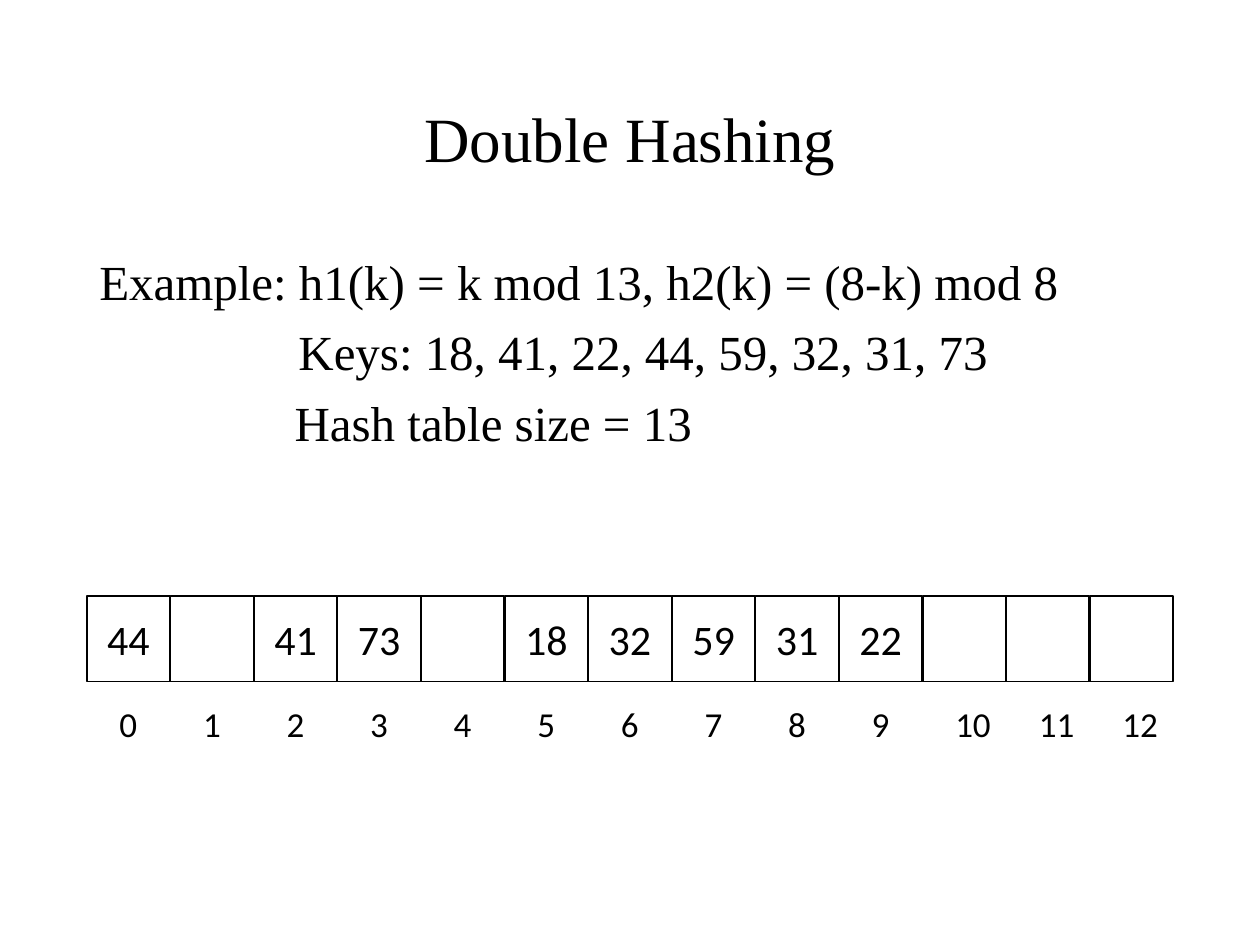
import dataclasses
import typing

import pptx
import pptx.dml.color
import pptx.enum.shapes
import pptx.enum.text
import pptx.util

Inches = pptx.util.Inches
Pt = pptx.util.Pt
Align = pptx.enum.text.PP_ALIGN
Anchor = pptx.enum.text.MSO_ANCHOR


@dataclasses.dataclass(frozen=True)
class Theme:
    ink: pptx.dml.color.RGBColor = pptx.dml.color.RGBColor(0, 0, 0)
    prose_font: str = "Times New Roman"
    table_font: str = "Calibri"
    title_size: int = 36
    body_size: int = 28
    key_size: int = 24
    index_size: int = 20
    outline: int = 1


@dataclasses.dataclass(frozen=True)
class Box:
    left: float
    top: float
    width: float
    height: float

    def lengths(self) -> tuple:
        return tuple(Inches(n) for n in dataclasses.astuple(self))


@dataclasses.dataclass(frozen=True)
class Line:
    text: str
    indent: float = 0


@dataclasses.dataclass(frozen=True)
class Slot:
    index: int
    key: str


THEME = Theme()
TITLE_BOX = Box(0.69, 0.4, 8.62, 1.45)
EXAMPLE_BOX = Box(0.69, 2, 8.62, 1.87)
EXAMPLE = [
    Line("Example: h1(k) = k mod 13, h2(k) = (8-k) mod 8"),
    Line("Keys: 18, 41, 22, 44, 59, 32, 31, 73", 1.58),
    Line("Hash table size = 13", 1.55),
]
KEYS = ["44", "", "41", "73", "", "18", "32", "59", "31", "22", "", "", ""]
FIRST_SLOT, LAST_SLOT = 0.69, 8.65
SLOT_PITCH = (LAST_SLOT - FIRST_SLOT) / (len(KEYS) - 1)


def add_words(paragraph: typing.Any, text: str, font: str, size: int) -> None:
    run = paragraph.add_run()
    run.text = text
    run.font.name = font
    run.font.size = Pt(size)
    run.font.color.rgb = THEME.ink


def add_text_box(slide: typing.Any, box: Box) -> typing.Any:
    frame = slide.shapes.add_textbox(*box.lengths()).text_frame
    frame.word_wrap = True
    return frame


def draw_title(slide: typing.Any) -> None:
    frame = add_text_box(slide, TITLE_BOX)
    frame.vertical_anchor = Anchor.MIDDLE
    heading = frame.paragraphs[0]
    heading.alignment = Align.CENTER
    heading.line_spacing = 0.9
    add_words(heading, "Double Hashing", THEME.prose_font, THEME.title_size)


def draw_example(slide: typing.Any) -> None:
    frame = add_text_box(slide, EXAMPLE_BOX)
    for number, line in enumerate(EXAMPLE):
        paragraph = frame.add_paragraph() if number else frame.paragraphs[0]
        paragraph.line_spacing = 0.9
        paragraph.space_before = Pt(10)
        paragraph._p.get_or_add_pPr().set("marL", str(Inches(line.indent)))
        add_words(paragraph, line.text, THEME.prose_font, THEME.body_size)


def draw_slot(slide: typing.Any, slot: Slot) -> None:
    left = FIRST_SLOT + slot.index * SLOT_PITCH
    cell = slide.shapes.add_shape(
        pptx.enum.shapes.MSO_SHAPE.RECTANGLE, *Box(left, 4.73, 0.66, 0.68).lengths()
    )
    cell.shadow.inherit = False
    cell.fill.background()
    cell.line.color.rgb = THEME.ink
    cell.line.width = Pt(THEME.outline)
    if slot.key:
        cell.text_frame.vertical_anchor = Anchor.MIDDLE
        content = cell.text_frame.paragraphs[0]
        content.alignment = Align.CENTER
        add_words(content, slot.key, THEME.table_font, THEME.key_size)

    label = add_text_box(slide, Box(left + 0.16, 5.53, 0.5, 0.44))
    label.auto_size = pptx.enum.text.MSO_AUTO_SIZE.SHAPE_TO_FIT_TEXT
    add_words(label.paragraphs[0], str(slot.index), THEME.table_font, THEME.index_size)


def main() -> None:
    deck = pptx.Presentation()
    deck.slide_width, deck.slide_height = Inches(10), Inches(7.5)
    slide = deck.slides.add_slide(deck.slide_layouts[6])
    draw_title(slide)
    draw_example(slide)
    for index, key in enumerate(KEYS):
        draw_slot(slide, Slot(index, key))
    deck.save("out.pptx")


if __name__ == "__main__":
    main()
